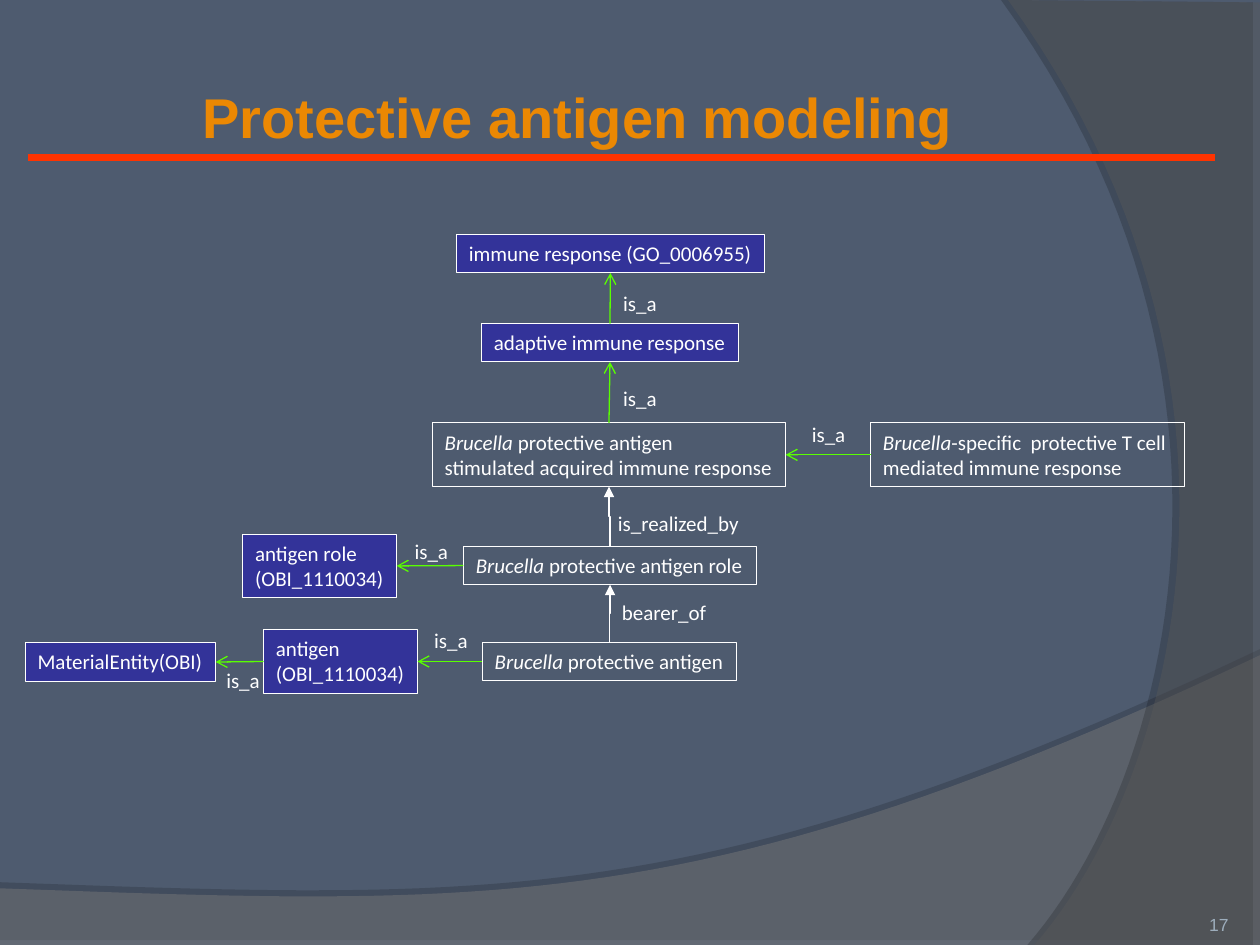
from dataclasses import dataclass
from typing import Any

from lxml.etree import SubElement
from pptx import Presentation
from pptx.dml.color import RGBColor
from pptx.enum.shapes import MSO_CONNECTOR, MSO_SHAPE
from pptx.enum.text import MSO_ANCHOR, MSO_AUTO_SIZE, PP_ALIGN
from pptx.oxml.ns import qn
from pptx.util import Pt

COLORS = {
    "background": "4E5B6F", "lower": "7C7C7C", "right": "595959", "shade": "000000",
    "term": "333399", "white": "FFFFFF", "is_a": "59FF00", "rule": "FF3300",
    "title": "EB8803", "number": "9DADBC",
}
GENUS = "Brucella"
BODY = {"name": "Calibri", "size": Pt(12)}
FITTED = {"word_wrap": False, "auto_size": MSO_AUTO_SIZE.SHAPE_TO_FIT_TEXT,
          "vertical_anchor": MSO_ANCHOR.TOP}
STEPS = 48

Point = tuple[float, float]


@dataclass(frozen=True)
class Node:
    left: float
    top: float
    width: float
    height: float
    lines: tuple[str, ...]
    filled: bool = False

    @property
    def center(self) -> Point:
        return self.left + self.width / 2, self.top + self.height / 2


@dataclass(frozen=True)
class Label:
    left: float
    top: float
    width: float = 35
    text: str = "is_a"


@dataclass(frozen=True)
class Link:
    child: str
    parent: str
    upward: bool = False
    bent: bool = False


@dataclass(frozen=True)
class Backdrop:
    color: str
    opacity: int
    corners: tuple[Point, ...]
    curve: tuple[Point, Point, Point]
    shadow_opacity: int
    distance: float
    direction: int


NODES = {
    "immune": Node(260.8, 134, 176, 22, ("immune response (GO_0006955)",), True),
    "adaptive": Node(275.1, 185, 147, 21.8, ("adaptive immune response",), True),
    "acquired": Node(247, 241.7, 202, 36.4,
                     ("Brucella protective antigen", "stimulated acquired immune response")),
    "t_cell": Node(497.5, 241.7, 179.2, 36.4,
                   ("Brucella-specific  protective T cell", "mediated immune response")),
    "role": Node(138.7, 305.2, 88, 36.4, ("antigen role\v(OBI_1110034)",), True),
    "brucella_role": Node(264.8, 312.3, 167.6, 21.8, ("Brucella protective antigen role",)),
    "antigen": Node(150.6, 359.8, 88, 36.4, ("antigen\v(OBI_1110034)",), True),
    "brucella_antigen": Node(275.6, 367.1, 145.4, 21.8, ("Brucella protective antigen",)),
    "material": Node(14.4, 367.3, 108.9, 22, ("MaterialEntity(OBI)",), True),
}
LINKS = (
    Link("adaptive", "immune", upward=True),
    Link("acquired", "adaptive", upward=True),
    Link("t_cell", "acquired"),
    Link("brucella_role", "role"),
    Link("brucella_antigen", "antigen"),
    Link("antigen", "material"),
    Link("brucella_role", "acquired", upward=True, bent=True),
    Link("brucella_antigen", "brucella_role", upward=True, bent=True),
)
LABELS = (
    Label(349, 162.3), Label(349, 216.8), Label(456.8, 237.2),
    Label(229.8, 304), Label(241, 355), Label(122.2, 378),
    Label(346, 288, 83.5, "is_realized_by"), Label(348.3, 339, 62.8, "bearer_of"),
)
BACKDROPS = (
    Backdrop("lower", 45, ((0, 507.6), (0, 540.7), (720, 540.7), (720, 374.4)),
             ((402.5, 524.9), (281.5, 517.7), (0, 507.6)), 35, 3.5, 270),
    Backdrop("right", 40, ((720, 1.4), (720, 540), (591.1, 540)),
             ((673.2, 445.7), (733, 216), (576, 0)), 45, 4, 180),
)


def color(key: str) -> RGBColor:
    """Return the named colour."""
    return RGBColor.from_string(COLORS[key])


def apply(target: Any, values: dict[str, Any]) -> None:
    """Set each format value on the target."""
    for name, value in values.items():
        setattr(target, name, value)


def paint(fill: Any, key: str) -> None:
    """Give a fill one solid colour."""
    fill.solid()
    fill.fore_color.rgb = color(key)


def write(box: Any, lines: tuple[str, ...], frame: dict[str, Any], font: dict[str, Any],
          ink: str, align: Any = PP_ALIGN.LEFT) -> None:
    """Write one paragraph per line, with the genus name in italics."""
    apply(box.text_frame, frame)
    for index, line in enumerate(lines):
        para = box.text_frame.add_paragraph() if index else box.text_frame.paragraphs[0]
        para.alignment = align
        for row, part in enumerate(line.split("\v")):
            if row:
                para.add_line_break()
            genus = GENUS if part.startswith(GENUS) else ""
            for text, italic in ((genus, True), (part.removeprefix(GENUS), False)):
                if text:
                    span = para.add_run()
                    span.text = text
                    apply(span.font, font | {"italic": italic})
                    span.font.color.rgb = color(ink)


def add_backdrop(page: Any, backdrop: Backdrop) -> None:
    """Draw a translucent area with one curved edge and an edge shadow."""
    controls = (backdrop.corners[-1], *backdrop.curve)
    edge = []
    for step in range(1, STEPS + 1):
        t = step / STEPS
        weights = ((1 - t) ** 3, 3 * t * (1 - t) ** 2, 3 * t * t * (1 - t), t ** 3)
        edge.append(tuple(sum(w * c[axis] for w, c in zip(weights, controls))
                          for axis in (0, 1)))
    start, *rest = [(Pt(x), Pt(y)) for x, y in (*backdrop.corners, *edge)]
    builder = page.shapes.build_freeform(*start)
    builder.add_line_segments(rest, close=True)
    area = builder.convert_to_shape()
    area.shadow.inherit = False
    area.line.fill.background()
    paint(area.fill, backdrop.color)
    properties = area._element.spPr
    tint = properties.find(qn("a:solidFill")).find(qn("a:srgbClr"))
    SubElement(tint, qn("a:alpha"), val=str(backdrop.opacity * 1000))
    shadow = SubElement(properties.find(qn("a:effectLst")), qn("a:outerShdw"), blurRad="0",
                        dist=str(Pt(backdrop.distance)), dir=str(backdrop.direction * 60000),
                        algn="ctr", rotWithShape="0")
    shade = SubElement(shadow, qn("a:srgbClr"), val=COLORS["shade"])
    SubElement(shade, qn("a:alpha"), val=str(backdrop.shadow_opacity * 1000))


def add_node(page: Any, node: Node) -> None:
    """Draw an outlined term box."""
    box = page.shapes.add_shape(MSO_SHAPE.RECTANGLE, Pt(node.left), Pt(node.top),
                                Pt(node.width), Pt(node.height))
    box.shadow.inherit = False
    if node.filled:
        paint(box.fill, "term")
    else:
        box.fill.background()
    paint(box.line.fill, "white")
    box.line.width = Pt(0.5)
    write(box, node.lines, FITTED, BODY, "white")


def add_line(page: Any, start: Point, end: Point, ink: str, width: float,
             head: str = "", kind: Any = MSO_CONNECTOR.STRAIGHT) -> Any:
    """Draw a connector, with an arrowhead at its end if one is named."""
    line = page.shapes.add_connector(kind, *(Pt(value) for value in (*start, *end)))
    paint(line.line.fill, ink)
    line.line.width = Pt(width)
    if head:
        SubElement(line.line._get_or_add_ln(), qn("a:tailEnd"), type=head)
    SubElement(line._element.spPr, qn("a:effectLst"))
    return line


def add_link(page: Any, link: Link) -> None:
    """Draw the arrow from a child term to its parent."""
    child, parent = NODES[link.child], NODES[link.parent]
    if link.upward:
        start = (child.center[0], child.top)
        end = (parent.center[0], parent.top + parent.height)
    else:
        start = (child.left, child.center[1])
        end = (parent.left + parent.width, parent.center[1])
    if not link.bent:
        add_line(page, start, end, "is_a", 0.75, "arrow")
        return
    x, y = (start[0] + end[0]) / 2, (start[1] + end[1]) / 2
    reach, shift = (start[1] - end[1]) / 2, (end[0] - start[0]) / 2
    line = add_line(page, (x - reach, y - shift), (x + reach, y + shift), "white", 0.75,
                    "triangle", MSO_CONNECTOR.ELBOW)
    line._element.spPr.find(qn("a:xfrm")).set("rot", str(270 * 60000))


def add_text(page: Any, bounds: tuple[float, float, float, float], text: str,
             frame: dict[str, Any], font: dict[str, Any], ink: str,
             align: Any = PP_ALIGN.LEFT) -> None:
    """Add a text box with one line of text."""
    box = page.shapes.add_textbox(*(Pt(value) for value in bounds))
    write(box, (text,), frame, font, ink, align)


def main() -> None:
    """Build the slide and save it."""
    deck = Presentation()
    apply(deck, {"slide_width": Pt(720), "slide_height": Pt(540)})
    page = deck.slides.add_slide(deck.slide_layouts[6])
    paint(page.background.fill, "background")
    for backdrop in BACKDROPS:
        add_backdrop(page, backdrop)
    for node in NODES.values():
        add_node(page, node)
    for link in LINKS:
        add_link(page, link)
    for label in LABELS:
        add_text(page, (label.left, label.top, label.width, 22), label.text, FITTED, BODY, "white")
    add_line(page, (15.8, 90), (694.2, 90), "rule", 4)
    sides = ("margin_left", "margin_top", "margin_right", "margin_bottom")
    add_text(page, (36, 21.6, 588.2, 90), "Protective antigen modeling",
             {"word_wrap": True, "vertical_anchor": MSO_ANCHOR.MIDDLE} | dict.fromkeys(sides, Pt(3.6)),
             {"name": "Arial", "size": Pt(32), "bold": True}, "title", PP_ALIGN.CENTER)
    add_text(page, (642.2, 505.4, 59.8, 28.8), "17",
             {"word_wrap": True, "vertical_anchor": MSO_ANCHOR.BOTTOM} | dict.fromkeys(sides, Pt(0)),
             {"name": "Arial", "size": Pt(10)}, "number", PP_ALIGN.RIGHT)
    deck.save("out.pptx")


if __name__ == "__main__":
    main()
